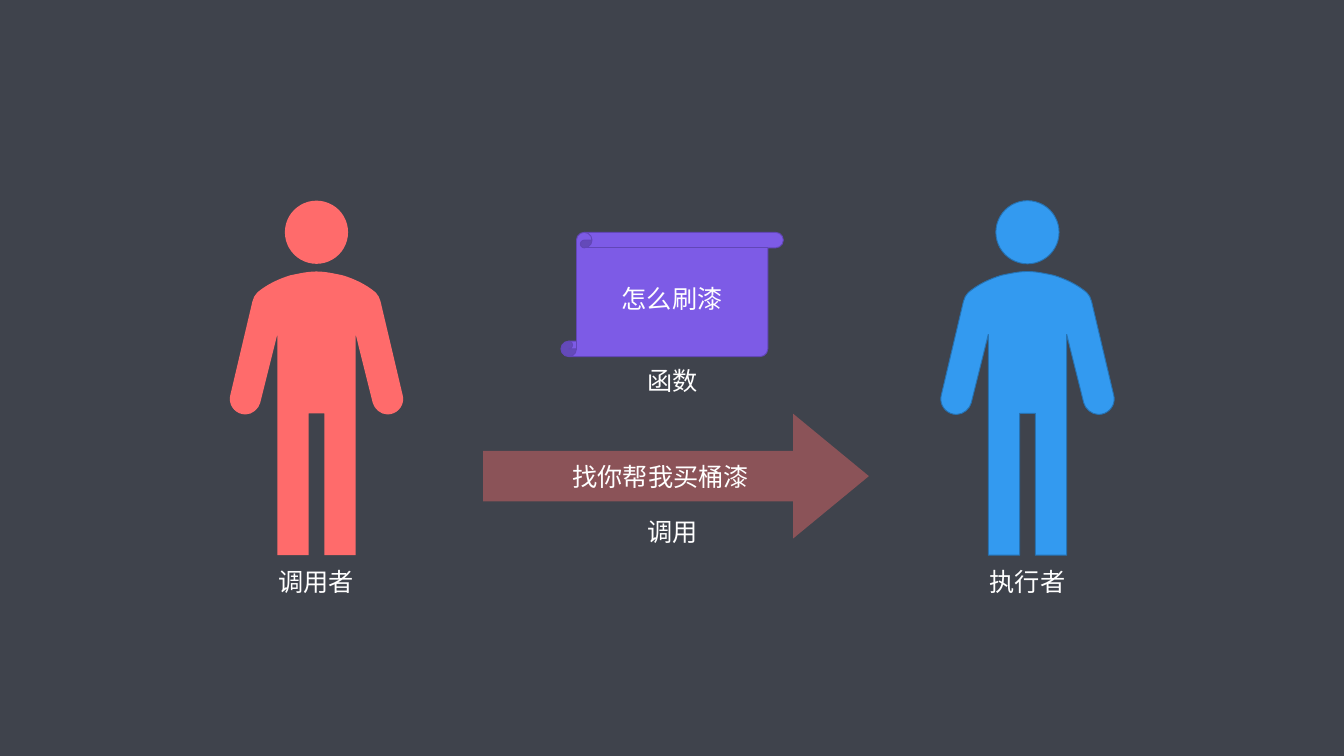
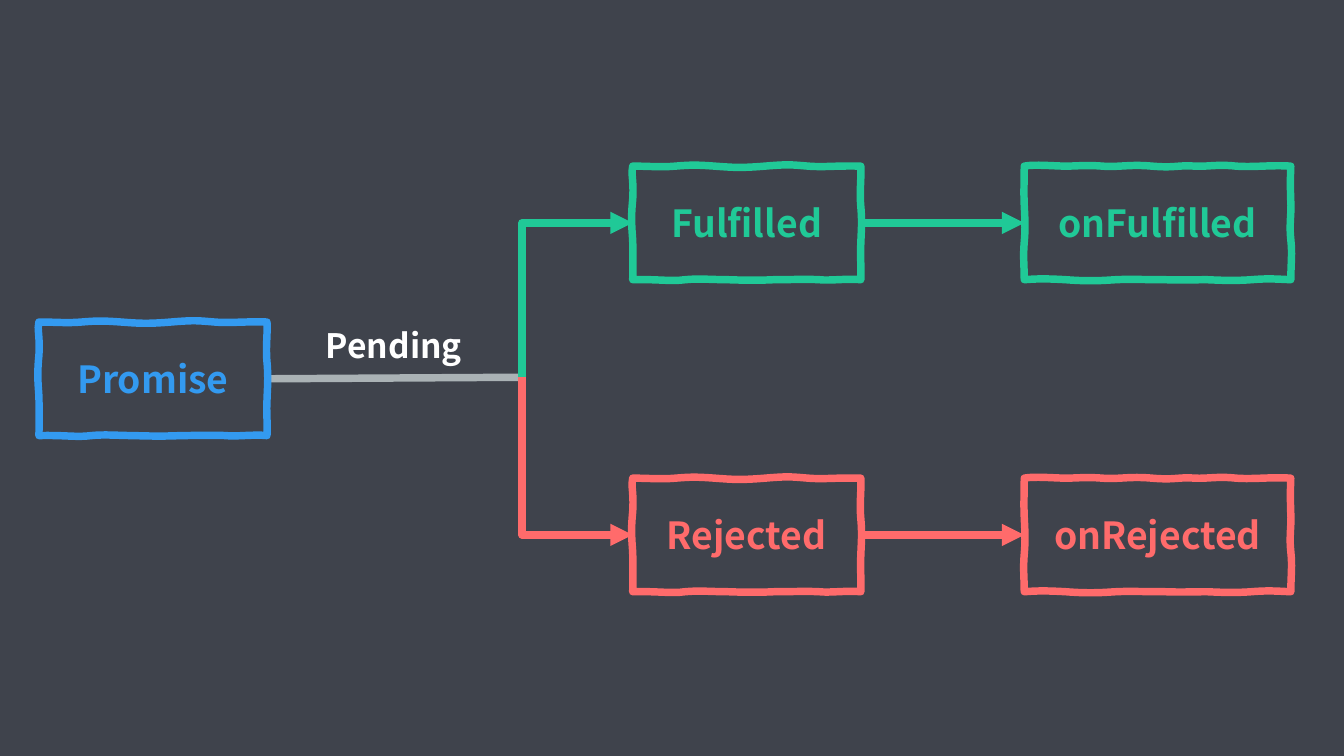
"""Build two slides: calling a function, and the states of a Promise."""
from lxml import etree
from pptx import Presentation, util as u
from pptx.dml.color import RGBColor
from pptx.enum import shapes, text
from pptx.oxml.ns import qn

FONT = "Noto Sans CJK SC"
COLORS = {
    "background": "3F434C", "white": "FFFFFF", "gray": "AAB2B5",
    "red": "FF6B6B", "blue": "339AF0", "dark blue": "2672B2",
    "green": "20C997", "violet": "845EF7", "dark violet": "6246B7",
}
LABEL_SIZE, PENDING_SIZE, STATE_SIZE = 27, 36, 40
STROKE = 8

PEOPLE = [(339.1, "red", None), (1100.9, "blue", "dark blue")]
HEAD_TOP, HEAD_SIZE, BODY_TOP = 215, 67.7, 290.9
LABELS = [
    ("调用者", 290.6, 603.4, 96.5),
    ("执行者", 1051.9, 603.4, 97.9),
    ("调用", 685.8, 550.1, 69.1),
    ("函数", 685.8, 388.1, 69.1),
]
SCROLL = ("怎么刷漆", (601, 248.9, 238.3, 133.2))
CALL_ARROW = ("找你帮我买桶漆", (517.7, 443.2, 413.3, 133.9))

HALF_BODY = [
    (0, 0),
    (9.4, 0, 18.7, 2.2, 27.7, 4),
    (41, 8, 53.3, 14, 63.4, 22.5),
    (65.9, 25, 67.8, 28.4, 68.6, 32),
    (92.2, 132),
    (92.4, 133, 92.9, 135, 92.9, 136.4),
    (92.9, 145.5, 85.7, 153.2, 76, 153.2),
    (68.5, 153.2, 61.9, 147, 60.3, 140.8),
    (42, 67.5), (42, 304), (8.4, 304), (8.4, 152),
]
STATE_SKETCH = [
    (0, 0),
    (18, 0, 29.5, 1.4, 46, 0),
    (62.6, -1.4, 68.4, -1.4, 87.8, 0),
    (106.6, 1.4, 115.2, 2.2, 141.8, 0),
    (167.8, -2.2, 170.6, -1.4, 188, 0),
    (205.2, 1.4, 217.4, -0.7, 244.4, 0),
    (245, 17.3, 242.9, 25.2, 244.4, 43.2),
    (246, 61, 244.8, 69.8, 244.4, 83.5),
    (243.6, 97, 245, 105, 244.4, 121.7),
    (230.4, 120.2, 211, 123, 200, 121.7),
    (189.4, 121, 162.7, 121.7, 151.2, 121.7),
    (139.7, 122.4, 119.5, 122.4, 102.2, 121.7),
    (85, 121.7, 70.6, 120.2, 56.2, 121.7),
    (41, 123.8, 27.4, 121, 0, 121.7),
    (0.4, 110.9, 0.3, 89.3, 0, 79.2),
    (-0.7, 68.4, -2.2, 56.9, 0, 36),
    (1.4, 14.4, -2.2, 7.9, 0, 0),
]
HANDLER_SKETCH = [
    (0, 0),
    (10.8, -2.2, 33, 0, 44.6, 0),
    (56.2, 0, 66.2, -1.4, 83.5, 0),
    (101.5, 1.4, 112.3, -2.2, 136.8, 0),
    (162, 2.2, 165.6, -1.4, 182.2, 0),
    (198, 0.7, 206.6, -2.2, 226.8, 0),
    (246.2, 1.4, 264.2, -1.4, 285.6, 0),
    (285.1, 7.9, 285.1, 28.8, 285.6, 38.2),
    (286.6, 47.5, 283.7, 63.4, 285.6, 78.5),
    (287.3, 94.3, 285.8, 102.2, 285.6, 121.7),
    (269.3, 121, 261.4, 120.2, 243.4, 121.7),
    (226, 123, 211, 122.4, 195.8, 121.7),
    (181.4, 121.7, 168.5, 122.4, 151.2, 121.7),
    (134.6, 121.7, 109.4, 121, 97.9, 121.7),
    (86.4, 122.4, 71.3, 123.8, 44.6, 121.7),
    (18.7, 120.2, 10, 121, 0, 121.7),
    (0, 106.6, -1.4, 97.2, 0, 81.4),
    (1.4, 65.5, 0.7, 56.9, 0, 41.8),
    (-0.7, 26.6, 0, 15.8, 0, 0),
]

BOX_HEIGHT, STATE_WIDTH = 121.7, 244.4
PROMISE_LEFT, PROMISE_TOP = 41.7, 345
STATE_LEFT, HANDLER_LEFT = 677.9, 1097.4
FORK = (559.4, 404.2)
BRANCHES = [
    ("Fulfilled", "onFulfilled", "green", 178),
    ("Rejected", "onRejected", "red", 512.3),
]


def rgb(name):
    return RGBColor.from_string(COLORS[name])


def paint(shape, fill=None, line=None, width=1, opacity=None):
    shape.shadow.inherit = False
    if fill:
        shape.fill.solid()
        shape.fill.fore_color.rgb = rgb(fill)
        if opacity:
            color = shape._element.spPr.find(qn("a:solidFill"))[0]
            etree.SubElement(color, qn("a:alpha"), val=str(opacity * 1000))
    else:
        shape.fill.background()
    if line:
        shape.line.color.rgb = rgb(line)
        shape.line.width = u.Pt(width)
    else:
        shape.line.fill.background()


def write(shape, words, size, color="white", bold=False, align=text.PP_ALIGN.CENTER):
    paragraph = shape.text_frame.paragraphs[0]
    paragraph.text = words
    paragraph.alignment = align
    font = paragraph.font
    font.size, font.bold, font.name = u.Pt(size), bold, FONT
    font.color.rgb = rgb(color)
    etree.SubElement(font._rPr, qn("a:ea"), typeface=FONT)


def add_label(slide, words, left, top, width, height, size, **style):
    box = slide.shapes.add_textbox(*map(u.Pt, (left, top, width, height)))
    box.text_frame.word_wrap = False
    box.text_frame.auto_size = text.MSO_AUTO_SIZE.SHAPE_TO_FIT_TEXT
    write(box, words, size, **style)


def add_preset(slide, kind, words, place, **style):
    shape = slide.shapes.add_shape(kind, *map(u.Pt, place))
    paint(shape, **style)
    shape.text_frame.vertical_anchor = text.MSO_ANCHOR.MIDDLE
    write(shape, words, LABEL_SIZE)
    return shape


def pairs(segment):
    return list(zip(segment[::2], segment[1::2]))


def mirror(half):
    """Close a right half with its reflection, walking back to its start."""
    outline = half + [(-half[-1][-2], half[-1][-1])]
    for before, segment in reversed(list(zip(half, half[1:]))):
        back = pairs(segment)[-2::-1] + [before[-2:]]
        outline.append(tuple(value for x, y in back for value in (-x, y)))
    return outline


def add_outline(container, outline, left, top):
    """Draw lines (x, y) and cubic curves (x1, y1, x2, y2, x, y)."""
    ends = [segment[-2:] for segment in outline]
    scaled = [(u.Pt(x), u.Pt(y)) for x, y in ends]
    builder = container.build_freeform(*scaled[0])
    builder.add_line_segments(scaled[1:], close=True)
    shape = builder.convert_to_shape(u.Pt(left), u.Pt(top))
    min_x, min_y = (min(axis) for axis in zip(*ends))
    steps = list(shape._element.spPr.iter(qn("a:lnTo")))
    for step, segment in zip(steps, outline[1:]):
        if len(segment) == 6:
            curve = etree.Element(qn("a:cubicBezTo"))
            for x, y in pairs(segment):
                etree.SubElement(curve, qn("a:pt"), x=str(int(u.Pt(x - min_x))),
                                 y=str(int(u.Pt(y - min_y))))
            step.getparent().replace(step, curve)
    return shape


def add_person(slide, center, fill, line):
    group = slide.shapes.add_group_shape().shapes
    head = group.add_shape(shapes.MSO_SHAPE.OVAL, u.Pt(center - HEAD_SIZE / 2),
                           u.Pt(HEAD_TOP), u.Pt(HEAD_SIZE), u.Pt(HEAD_SIZE))
    body = add_outline(group, mirror(HALF_BODY), center, BODY_TOP)
    for part in (head, body):
        paint(part, fill, line)


def add_box(slide, sketch, words, left, top, color):
    box = add_outline(slide.shapes, sketch, left, top)
    paint(box, line=color, width=STROKE)
    box.text_frame.vertical_anchor = text.MSO_ANCHOR.MIDDLE
    write(box, words, STATE_SIZE, color, bold=True)


def add_line(slide, start, end, color, arrow=True, kind=shapes.MSO_CONNECTOR.STRAIGHT):
    line = slide.shapes.add_connector(kind, *map(u.Pt, (*start, *end)))
    line.line.color.rgb = rgb(color)
    line.line.width = u.Pt(STROKE)
    if arrow:
        etree.SubElement(line.line._get_or_add_ln(), qn("a:tailEnd"), type="triangle")
    etree.SubElement(line._element.spPr, qn("a:effectLst"))
    return line


def add_bend(slide, start, end, color):
    """Go vertically and then across, by turning a one-bend connector."""
    across, down = end[0] - start[0], end[1] - start[1]
    middle_x, middle_y = start[0] + across / 2, start[1] + down / 2
    half_run = abs(down) / 2
    half_rise = across / 2 if down < 0 else -across / 2
    bend = add_line(slide, (middle_x + half_run, middle_y + half_rise),
                    (middle_x - half_run, middle_y - half_rise), color,
                    kind=shapes.MSO_CONNECTOR.ELBOW)
    properties = bend._element.spPr
    properties.find(qn("a:prstGeom")).set("prst", "bentConnector2")
    properties.find(qn("a:xfrm")).set("rot", str((90 if down < 0 else 270) * 60000))


def build_call_slide(slide):
    words, place = SCROLL
    add_preset(slide, shapes.MSO_SHAPE.VERTICAL_SCROLL, words, place,
               fill="violet", line="dark violet", opacity=90)
    for person in PEOPLE:
        add_person(slide, *person)
    for words, left, top, width in LABELS:
        add_label(slide, words, left, top, width, 40.3, LABEL_SIZE)
    words, place = CALL_ARROW
    arrow = add_preset(slide, shapes.MSO_SHAPE.RIGHT_ARROW, words, place,
                       fill="red", opacity=40)
    arrow.adjustments[0], arrow.adjustments[1] = 0.405, 0.607


def build_promise_slide(slide):
    promise_exit = (PROMISE_LEFT + STATE_WIDTH, PROMISE_TOP + BOX_HEIGHT / 2)
    add_line(slide, promise_exit, FORK, "gray", arrow=False)
    add_box(slide, STATE_SKETCH, "Promise", PROMISE_LEFT, PROMISE_TOP, "blue")
    for state, handler, color, top in BRANCHES:
        middle = top + BOX_HEIGHT / 2
        add_bend(slide, FORK, (STATE_LEFT, middle), color)
        add_box(slide, STATE_SKETCH, state, STATE_LEFT, top, color)
        add_box(slide, HANDLER_SKETCH, handler, HANDLER_LEFT, top, color)
        add_line(slide, (STATE_LEFT + STATE_WIDTH, middle), (HANDLER_LEFT, middle), color)
    add_label(slide, "Pending", 342, 344.9, 161.3, 51.1, PENDING_SIZE,
              bold=True, align=text.PP_ALIGN.LEFT)


def main():
    presentation = Presentation()
    presentation.slide_width, presentation.slide_height = u.Pt(1440), u.Pt(810)
    background = presentation.slide_master.background.fill
    background.solid()
    background.fore_color.rgb = rgb("background")
    for build in (build_call_slide, build_promise_slide):
        build(presentation.slides.add_slide(presentation.slide_layouts[6]))
    presentation.save("out.pptx")


if __name__ == "__main__":
    main()
